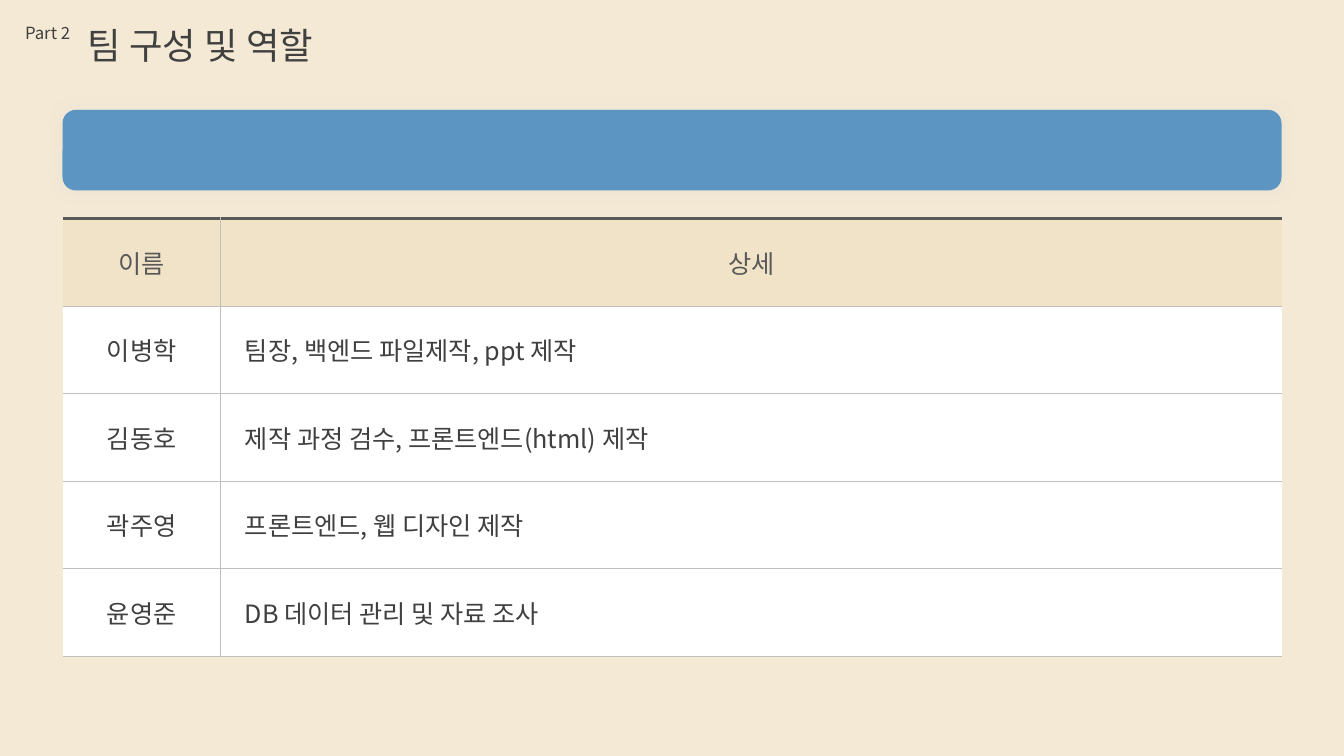
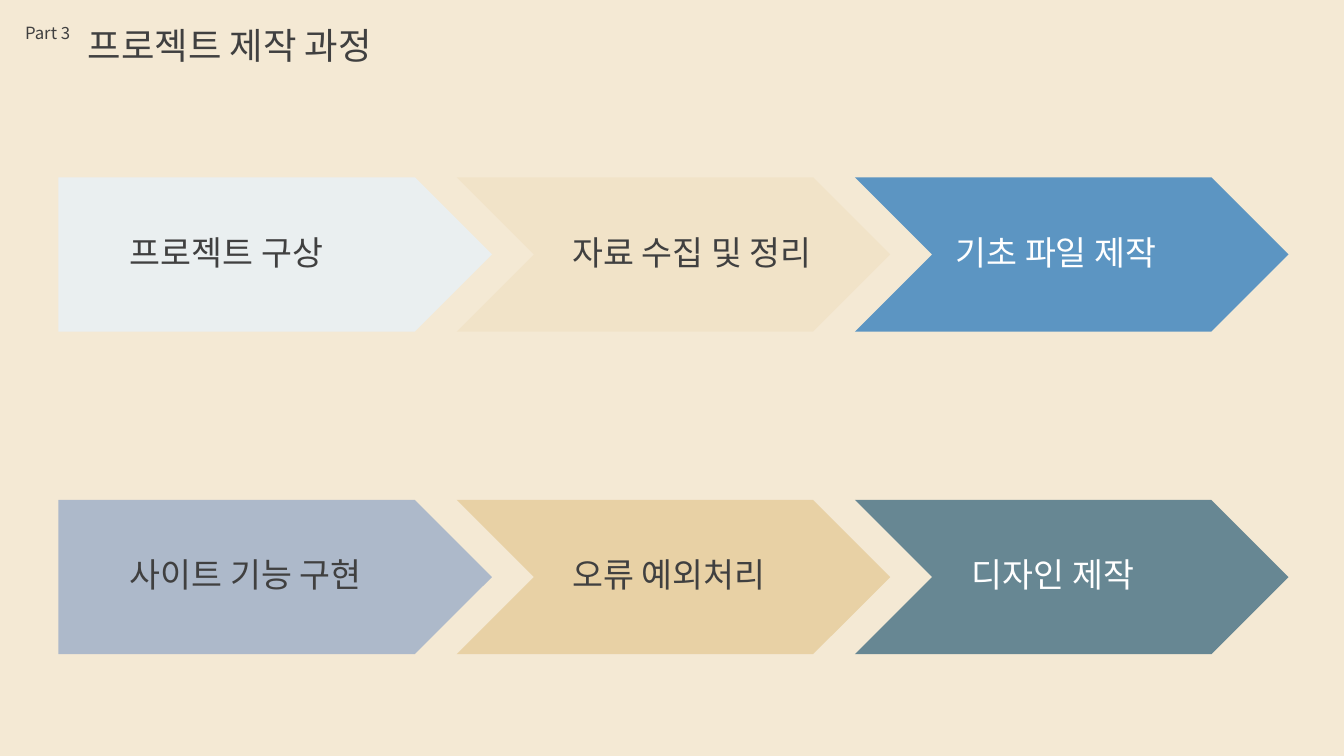
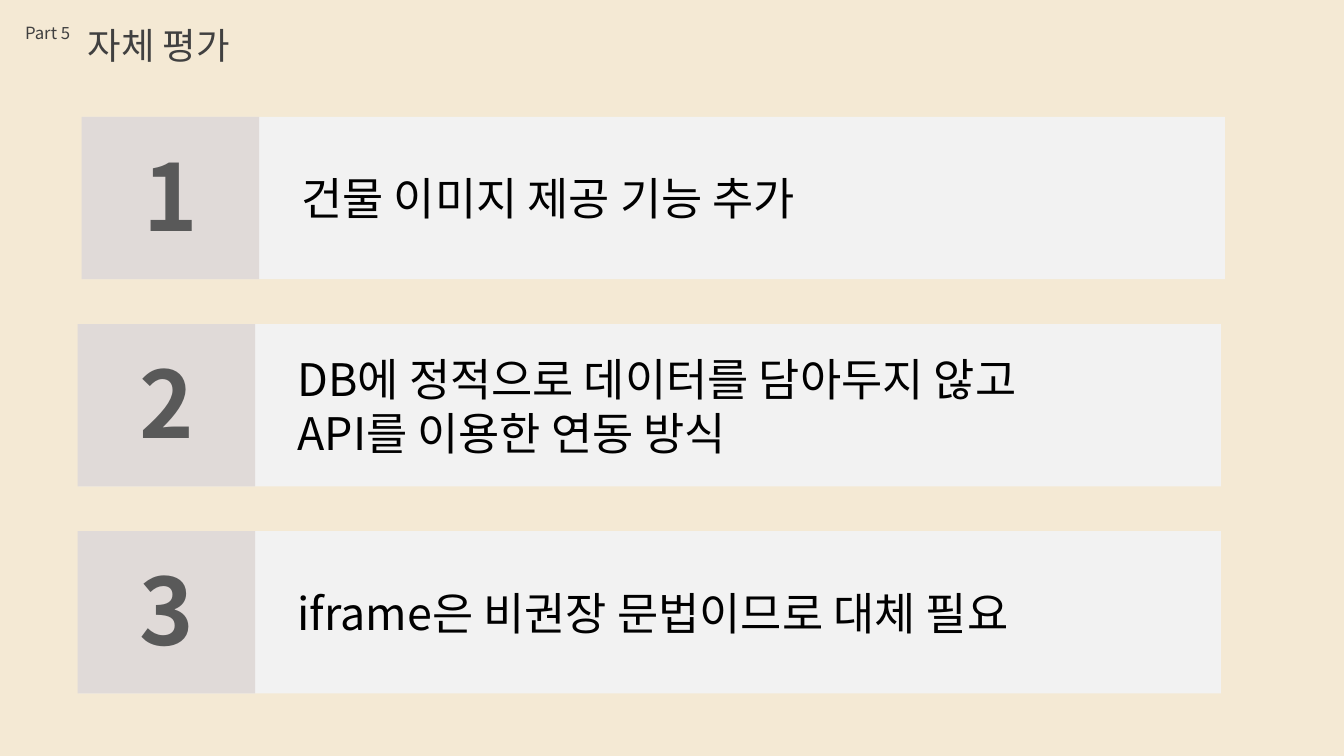
from dataclasses import dataclass
from typing import Any

from lxml.etree import SubElement
from pptx import Presentation
from pptx.dml.color import RGBColor
from pptx.enum.shapes import MSO_SHAPE
from pptx.enum.text import MSO_ANCHOR, MSO_AUTO_SIZE, PP_ALIGN
from pptx.oxml.ns import qn
from pptx.util import Inches, Pt

FONT = "Noto Sans CJK KR"
COLORS = {
    "background": "F4E9D4",
    "text": "404040",
    "heading": "595959",
    "black": "000000",
    "white": "FFFFFF",
    "grid": "BFBFBF",
    "shadow": "D9D9D9",
    "blue": "5C95C2",
    "sand": "F1E3C8",
    "mist": "EAEFF0",
    "teal": "678793",
    "gold": "E8D1A5",
    "lavender": "ADB9CA",
    "panel": "F2F2F2",
    "badge": "E0DAD8",
}
LABEL_FRAME = {
    "word_wrap": False,
    "auto_size": MSO_AUTO_SIZE.SHAPE_TO_FIT_TEXT,
    "vertical_anchor": MSO_ANCHOR.TOP,
}
PANEL_FRAME = {
    "word_wrap": True,
    "vertical_anchor": MSO_ANCHOR.MIDDLE,
    "margin_left": Inches(2.17),
}
CELL_FORMAT = {
    "vertical_anchor": MSO_ANCHOR.MIDDLE,
    **{f"margin_{side}": Inches(0.05) for side in ("left", "right", "top", "bottom")},
}


@dataclass(frozen=True)
class Box:
    left: float
    top: float
    width: float
    height: float

    def lengths(self) -> tuple:
        return tuple(Inches(v) for v in (self.left, self.top, self.width, self.height))


@dataclass(frozen=True)
class TextStyle:
    size: float
    color: str = "text"
    bold: bool = False
    alignment: Any = PP_ALIGN.LEFT


@dataclass(frozen=True)
class Step:
    label: str
    fill: str
    label_left: float
    label_width: float
    text_color: str = "text"


@dataclass(frozen=True)
class Review:
    left: float
    lines: tuple


PART = TextStyle(12)
TITLE = TextStyle(26)
STEP_SIZE = 24
REVIEW = TextStyle(32, "black")
NUMBER = TextStyle(66, "heading", True, PP_ALIGN.CENTER)
HEADER_CELL = TextStyle(18, "heading", alignment=PP_ALIGN.CENTER)
NAME_CELL = TextStyle(18, alignment=PP_ALIGN.CENTER)
DETAIL_CELL = TextStyle(18)

TEAM = (
    ("이름", "상세"),
    ("이병학", "팀장, 백엔드 파일제작, ppt 제작"),
    ("김동호", "제작 과정 검수, 프론트엔드(html) 제작"),
    ("곽주영", "프론트엔드, 웹 디자인 제작"),
    ("윤영준", "DB 데이터 관리 및 자료 조사"),
)
COLUMN_WIDTHS = (1.57, 10.53)
STEP_ROWS = (
    (
        Step("프로젝트 구상", "mist", 1.19, 2.33),
        Step("자료 수집 및 정리", "sand", 5.58, 2.89),
        Step("기초 파일 제작", "blue", 9.38, 2.45, "white"),
    ),
    (
        Step("사이트 기능 구현", "lavender", 1.19, 2.78),
        Step("오류 예외처리", "gold", 5.58, 2.33),
        Step("디자인 제작", "teal", 9.54, 2, "white"),
    ),
)
REVIEWS = (
    Review(0.81, ("건물 이미지 제공 기능 추가",)),
    Review(0.77, ("DB에 정적으로 데이터를 담아두지 않고", "API를 이용한 연동 방식")),
    Review(0.77, ("iframe은 비권장 문법이므로 대체 필요",)),
)


def rgb(name: str) -> RGBColor:
    return RGBColor.from_string(COLORS[name])


def apply_format(target: Any, values: dict) -> None:
    for name, value in values.items():
        setattr(target, name, value)


def write_text(text_frame: Any, lines: tuple, style: TextStyle) -> None:
    for index, line in enumerate(lines):
        paragraph = text_frame.add_paragraph() if index else text_frame.paragraphs[0]
        paragraph.alignment = style.alignment
        run = paragraph.add_run()
        run.text = line
        apply_format(run.font, {"name": FONT, "size": Pt(style.size), "bold": style.bold})
        run.font.color.rgb = rgb(style.color)
        SubElement(run._r.get_or_add_rPr(), qn("a:ea"), typeface=FONT)


def write_label(shape: Any, text: str, style: TextStyle) -> None:
    apply_format(shape.text_frame, LABEL_FRAME)
    write_text(shape.text_frame, (text,), style)


def add_label(slide: Any, box: Box, text: str, style: TextStyle) -> None:
    write_label(slide.shapes.add_textbox(*box.lengths()), text, style)


def add_filled_shape(slide: Any, kind: Any, box: Box, fill: str) -> Any:
    shape = slide.shapes.add_shape(kind, *box.lengths())
    shape.shadow.inherit = False
    shape.fill.solid()
    shape.fill.fore_color.rgb = rgb(fill)
    shape.line.fill.background()
    return shape


def add_titled_slide(presentation: Any, part: int, title: str, title_width: float) -> Any:
    slide = presentation.slides.add_slide(presentation.slide_layouts[5])
    box = Box(0.77, 0.18, title_width, 0.54)
    placeholder = slide.shapes.title
    apply_format(placeholder, dict(zip(("left", "top", "width", "height"), box.lengths())))
    write_label(placeholder, title, TITLE)
    add_label(slide, Box(0.15, 0.18, 0.66, 0.3), f"Part {part}", PART)
    return slide


def add_soft_shadow(shape: Any) -> None:
    effects = shape._element.spPr.find(qn("a:effectLst"))
    shadow = SubElement(effects, qn("a:outerShdw"), blurRad=str(Pt(10)), dist="0", dir="2700000")
    color = SubElement(shadow, qn("a:srgbClr"), val=COLORS["shadow"])
    SubElement(color, qn("a:alpha"), val="40000")


def set_borders(cell: Any, borders: dict) -> None:
    """Draw each side given as (colour, points); a side given as None stays empty."""
    properties = cell._tc.get_or_add_tcPr()
    for side in "LRTB":
        border = borders[side]
        line = SubElement(properties, qn(f"a:ln{side}"))
        if border is None:
            SubElement(line, qn("a:noFill"))
            continue
        color, width = border
        line.set("w", str(Pt(width)))
        fill = SubElement(line, qn("a:solidFill"))
        SubElement(fill, qn("a:srgbClr"), val=COLORS[color])


def add_team_table(slide: Any) -> None:
    box = Box(0.62, 2.17, sum(COLUMN_WIDTHS), 4.34)
    table = slide.shapes.add_table(len(TEAM), len(COLUMN_WIDTHS), *box.lengths()).table
    apply_format(table, {"first_row": False, "horz_banding": False})
    for column, width in zip(table.columns, COLUMN_WIDTHS):
        column.width = Inches(width)
    thin = ("grid", 0.75)
    for row_index, row in enumerate(TEAM):
        is_header = row_index == 0
        for column_index, text in enumerate(row):
            cell = table.cell(row_index, column_index)
            is_detail = column_index == 1
            set_borders(cell, {
                "L": thin if is_detail else None,
                "R": None if is_detail else thin,
                "T": ("heading", 2.25) if is_header else thin,
                "B": thin,
            })
            apply_format(cell, CELL_FORMAT)
            cell.fill.solid()
            cell.fill.fore_color.rgb = rgb("sand" if is_header else "white")
            body_style = DETAIL_CELL if is_detail else NAME_CELL
            write_text(cell.text_frame, (text,), HEADER_CELL if is_header else body_style)
            if is_detail and not is_header:
                paragraph = cell.text_frame.paragraphs[0]
                paragraph.level = 1
                indents = paragraph._p.get_or_add_pPr()
                indents.set("marL", str(Inches(0.19)))
                indents.set("indent", "0")


def build_team_slide(presentation: Any) -> None:
    slide = add_titled_slide(presentation, 2, "팀 구성 및 역할", 2.77)
    add_team_table(slide)
    banner_box = Box(0.62, 1.09, 12.09, 0.8)
    add_soft_shadow(add_filled_shape(slide, MSO_SHAPE.ROUNDED_RECTANGLE, banner_box, "blue"))


def build_process_slide(presentation: Any) -> None:
    slide = add_titled_slide(presentation, 3, "프로젝트 제작 과정", 3.38)
    for row_index, steps in enumerate(STEP_ROWS):
        top = 1.76 + 3.2 * row_index
        for index, step in reversed(list(enumerate(steps))):
            kind = MSO_SHAPE.CHEVRON if index else MSO_SHAPE.PENTAGON
            add_filled_shape(slide, kind, Box(0.58 + 3.95 * index, top, 4.3, 1.53), step.fill)
        for step in steps:
            label_box = Box(step.label_left, top + 0.49, step.label_width, 0.5)
            add_label(slide, label_box, step.label, TextStyle(STEP_SIZE, step.text_color))


def build_review_slide(presentation: Any) -> None:
    slide = add_titled_slide(presentation, 5, "자체 평가", 1.79)
    first_top, last_top, height = 1.16, 5.27, 1.61
    pitch = (last_top - first_top) / (len(REVIEWS) - 1)
    for index, review in enumerate(REVIEWS):
        top = first_top + pitch * index
        panel_box = Box(review.left + 0.01, top, 11.33, height)
        panel = add_filled_shape(slide, MSO_SHAPE.RECTANGLE, panel_box, "panel")
        apply_format(panel.text_frame, PANEL_FRAME)
        write_text(panel.text_frame, review.lines, REVIEW)
        badge_box = Box(review.left, top, 1.76, height)
        add_filled_shape(slide, MSO_SHAPE.RECTANGLE, badge_box, "badge")
        number_box = Box(review.left + 0.52, top + 0.17, 0.73, 1.21)
        add_label(slide, number_box, str(index + 1), NUMBER)


def main() -> None:
    presentation = Presentation()
    apply_format(presentation, {"slide_width": Inches(13.33), "slide_height": Inches(7.5)})
    background = presentation.slide_master.background.fill
    background.solid()
    background.fore_color.rgb = rgb("background")
    build_team_slide(presentation)
    build_process_slide(presentation)
    build_review_slide(presentation)
    presentation.save("out.pptx")


if __name__ == "__main__":
    main()
